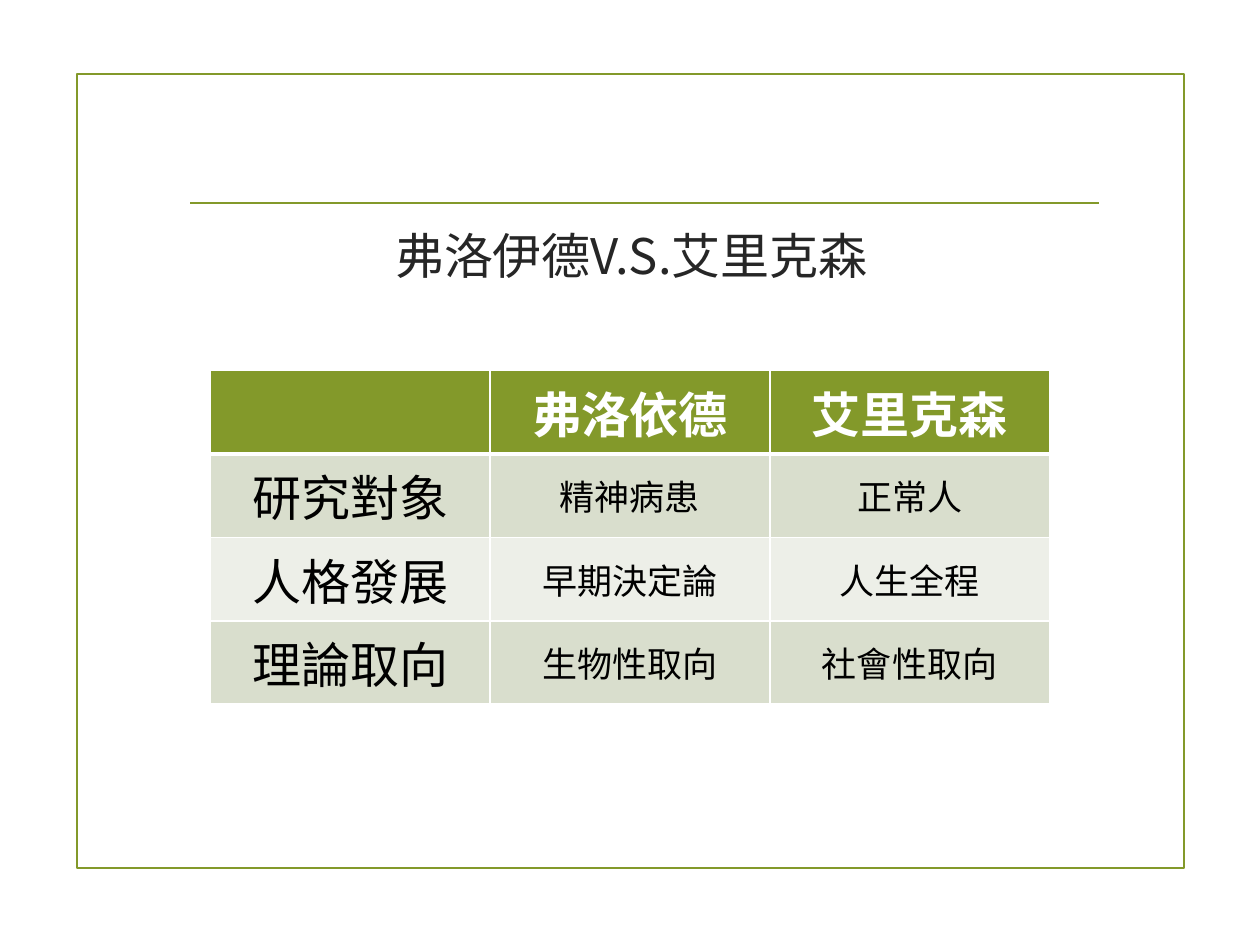
"""Build a slide with a table comparing two theories of personality."""
import pptx
import pptx.dml.color
import pptx.enum.shapes
import pptx.enum.text
import pptx.oxml
import pptx.oxml.ns
import pptx.util

Inches, Pt = pptx.util.Inches, pptx.util.Pt
RGB = pptx.dml.color.RGBColor.from_string
FONT = "Noto Sans CJK JP"
COLORS = {"green": "83992A", "title": "262626", "text": "000000",
          "white": "FFFFFF", "band": "D9DECD", "light": "EDEFE8"}
NS = pptx.oxml.ns.nsdecls("a")


def format_text(tf, size, color, bold=False):
    p = tf.paragraphs[0]
    p.alignment = pptx.enum.text.PP_ALIGN.CENTER
    p.font.size, p.font.bold, p.font.name = Pt(size), bold, FONT
    p.font.color.rgb = RGB(COLORS[color])
    props = p._p.pPr.find(pptx.oxml.ns.qn("a:defRPr"))
    props.append(pptx.oxml.parse_xml(f'<a:ea {NS} typeface="{FONT}"/>'))


def add_border(cell, side, width):
    cell._tc.get_or_add_tcPr().append(pptx.oxml.parse_xml(
        f'<a:ln{side} {NS} w="{Pt(width)}"><a:solidFill>'
        f'<a:srgbClr val="{COLORS["white"]}"/></a:solidFill></a:ln{side}>'))


prs = pptx.Presentation()
prs.slide_width, prs.slide_height = Inches(10), Inches(7.5)
s = prs.slides.add_slide(prs.slide_layouts[5])

frame = s.shapes.add_shape(pptx.enum.shapes.MSO_SHAPE.RECTANGLE,
                           Inches(0.61), Inches(0.59), Inches(8.79), Inches(6.3))
frame.shadow.inherit = False
frame.fill.background()
rule = s.shapes.add_connector(pptx.enum.shapes.MSO_CONNECTOR.STRAIGHT,
                              Inches(1.51), Inches(1.61), Inches(8.72), Inches(1.61))
rule._element.spPr.append(pptx.oxml.parse_xml(f"<a:effectLst {NS}/>"))
for sp in (frame, rule):
    sp.line.color.rgb = RGB(COLORS["green"])
    sp.line.width = Pt(1.25)

title = s.shapes.title
title.left, title.top = Inches(1.29), Inches(1.74)
title.width, title.height = Inches(7.44), Inches(0.8)
tf = title.text_frame
tf.text = "弗洛伊德V.S.艾里克森"
tf.word_wrap = True
tf.auto_size = pptx.enum.text.MSO_AUTO_SIZE.NONE
tf.vertical_anchor = pptx.enum.text.MSO_ANCHOR.TOP
format_text(tf, 28, "title")

rows = [("", "弗洛依德", "艾里克森"),
        ("研究對象", "精神病患", "正常人"),
        ("人格發展", "早期決定論", "人生全程"),
        ("理論取向", "生物性取向", "社會性取向")]
fills = ["green", "band", "light", "band"]
table = s.shapes.add_table(4, 3, Inches(1.67), Inches(2.94),
                           Inches(6.66), Inches(2.64)).table
for i, row in enumerate(rows):
    table.rows[i].height = Inches(0.66)
    for j, text in enumerate(row):
        cell = table.cell(i, j)
        cell.vertical_anchor = pptx.enum.text.MSO_ANCHOR.MIDDLE
        for side in "LRTB":
            add_border(cell, side, 3 if (i, side) in ((0, "B"), (1, "T")) else 1)
        cell.fill.solid()
        cell.fill.fore_color.rgb = RGB(COLORS[fills[i]])
        if text:
            cell.text = text
            header = i == 0
            format_text(cell.text_frame, 28 if header or j == 0 else 20,
                        "white" if header else "text", header)

prs.save("out.pptx")
